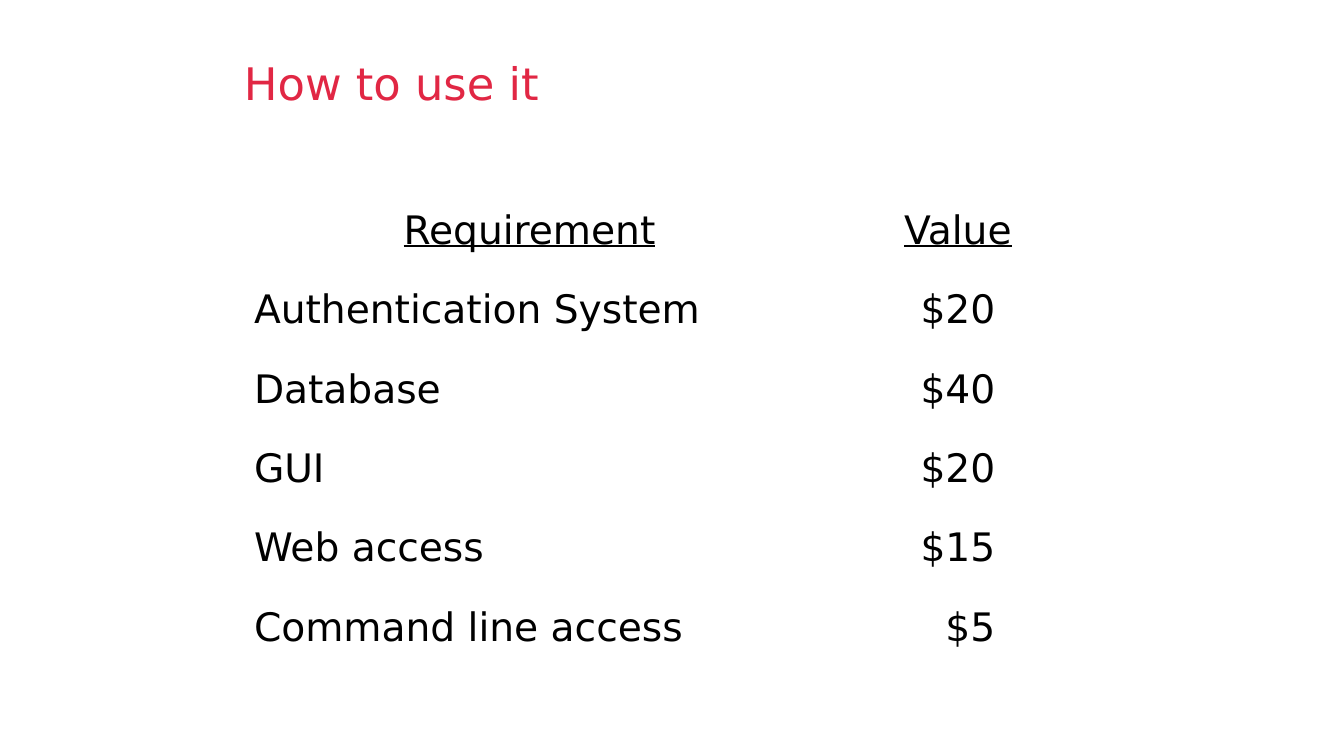
from pptx import Presentation, util as u
from pptx.dml.color import RGBColor
from pptx.enum import text


def paint(font, tone):
    font.color.rgb = RGBColor.from_string(tone)


class Deck:
    """Hold the style and the current slide, and add its elements."""

    face = "DejaVu Sans"
    red = "E12744"
    ink = "000000"

    def __init__(self, wide, high):
        self.file = Presentation()
        self.file.slide_width = u.Pt(wide)
        self.file.slide_height = u.Pt(high)
        self.slide = self.file.slides.add_slide(self.file.slide_layouts[5])

    def style(self, para, size, tone, align, under=False):
        para.alignment = align
        for run in para.runs:
            run.font.name = self.face
            run.font.size = u.Pt(size)
            run.font.underline = under
            paint(run.font, tone)

    def title(self, words, left, top, wide, high):
        box = self.slide.shapes.title
        box.left, box.top = u.Pt(left), u.Pt(top)
        box.width, box.height = u.Pt(wide), u.Pt(high)
        frame = box.text_frame
        frame.text = words
        frame.word_wrap = True
        frame.auto_size = text.MSO_AUTO_SIZE.NONE
        frame.vertical_anchor = text.MSO_ANCHOR.TOP
        frame.margin_left = frame.margin_right = frame.margin_bottom = 0
        frame.margin_top = u.Pt(3.6)
        self.style(frame.paragraphs[0], 32, self.red, text.PP_ALIGN.LEFT)

    def table(self, rows, left, top, widths, high):
        grid = self.slide.shapes.add_table(
            len(rows), len(widths), u.Pt(left), u.Pt(top),
            u.Pt(sum(widths)), u.Pt(high * len(rows))).table
        grid.first_row = grid.horz_banding = False
        for col, wide in zip(grid.columns, widths):
            col.width = u.Pt(wide)
        for r, row in enumerate(rows):
            grid.rows[r].height = u.Pt(high)
            for c, words in enumerate(row):
                head = r == 0
                mid = head or c == 1
                align = text.PP_ALIGN.CENTER if mid else text.PP_ALIGN.LEFT
                self.cell(grid.cell(r, c), words, align, head)
        return grid

    def cell(self, cell, words, align, under):
        cell.fill.background()
        cell.margin_left = cell.margin_right = u.Pt(7.2)
        cell.margin_top = cell.margin_bottom = u.Pt(3.6)
        cell.text_frame.text = words
        para = cell.text_frame.paragraphs[0]
        para.line_spacing = 0.98
        self.style(para, 28, self.ink, align, under)


def main():
    deck = Deck(960, 540)
    deck.title("How to use it", 174.25, 36, 507, 68.4)
    costs = [
        ("Requirement", "Value"),
        ("Authentication System", "$20"),
        ("Database", "$40"),
        ("GUI", "$20"),
        ("Web access", "$15"),
        ("Command line access", "$5"),
    ]
    grid = deck.table(costs, 174.25, 145.5, (408, 204), 56.7)
    grid.cell(5, 1).margin_left = u.Pt(25)
    deck.file.save("out.pptx")


if __name__ == "__main__":
    main()
